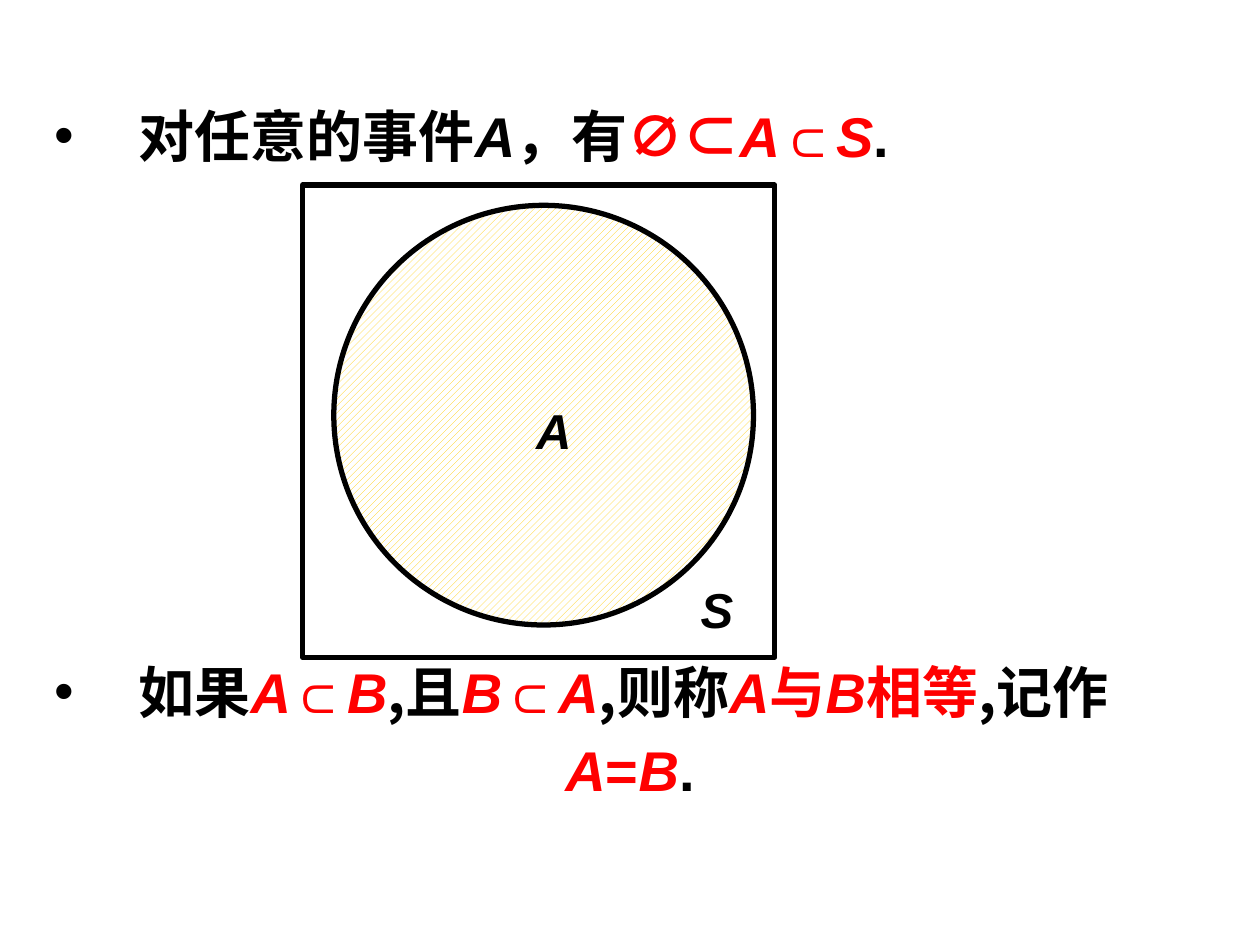
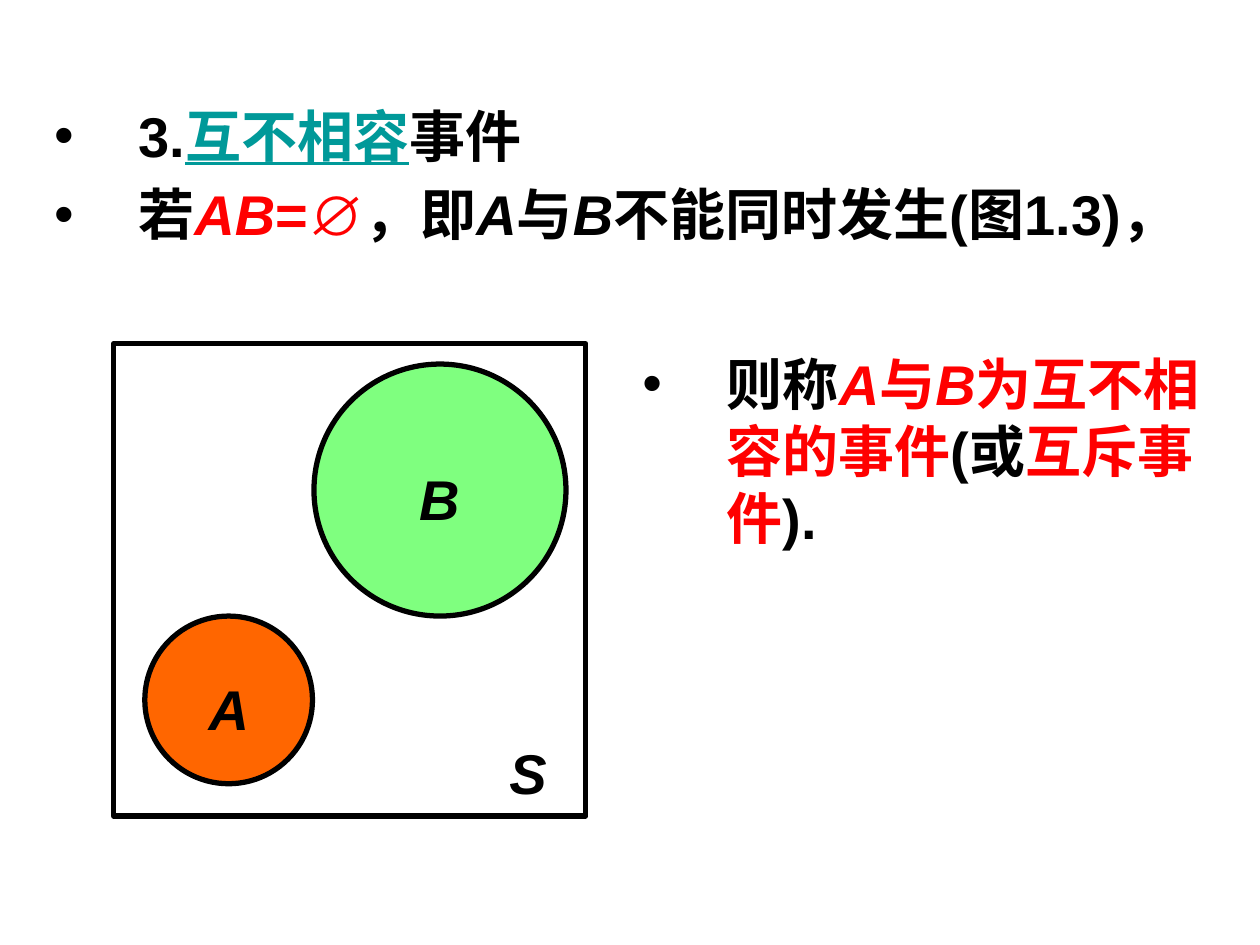
from lxml import etree
from pptx import Presentation
from pptx import util as u
from pptx.dml import color
from pptx.enum import dml, shapes, text
from pptx.oxml import ns

COLORS = {"ink": "000000", "paper": "FFFFFF", "key": "FF0000", "term": "009999",
          "hatch": "FFCC00", "orange": "FF6600", "green": "00FF00"}
FONT, COMMA_FONT = "Arial", "Noto Sans CJK SC"
BODY_SIZE = 32
LINE_HEIGHT = 38.3
SPACE_BEFORE = 6.4
HANGING = u.Cm(1.7)
BODY_LEFT, BODY_TOP, BODY_WIDTH = 0.84, 1.93, 23.72
SPACE_SIDE = 9.52

# Wording: each paragraph is a list of (words, style); styles are
# "" plain, "i" italic, "k" key red, "ki" key italic, "t" term, "c" comma
ANY_EVENT = [[("对任意的事件", ""), ("A", "i"), ("，有", ""), ("∅⊂", "k"),
              ("A", "ki"), ("⊂", "k"), ("S", "ki"), (".", "")]]
EQUAL_EVENTS = [
    [("如果", ""), ("A", "ki"), ("⊂", "k"), ("B", "ki"), (",", "c"), ("且", ""),
     ("B", "ki"), ("⊂", "k"), ("A", "ki"), (",", "c"), ("则称", ""), ("A", "ki"),
     ("与", "k"), ("B", "ki"), ("相等", "k"), (",", "c"), ("记作", "")],
    [("A", "ki"), ("=", "k"), ("B", "ki"), (".", "")]]
EXCLUSIVE_EVENTS = [
    [("3.", ""), ("互不相容", "t"), ("事件", "")],
    [("若", ""), ("AB", "ki"), ("=∅", "k"), ("，即", ""), ("A", "i"), ("与", ""),
     ("B", "i"), ("不能同时发生(图1.3)，", "")]]
EXCLUSIVE_NAME = [[("则称", ""), ("A", "ki"), ("与", "k"), ("B", "ki"),
                   ("为互不相容的事件", "k"), ("(或", ""), ("互斥事件", "k"), (").", "")]]


def rgb(name):
    return color.RGBColor.from_string(COLORS[name])


def format_run(run, size, style=""):
    font = run.font
    font.name = COMMA_FONT if "c" in style else FONT
    font.size = u.Pt(size)
    font.bold = True
    font.italic = "i" in style
    font.underline = "t" in style
    font.color.rgb = rgb("key" if "k" in style else "term" if "t" in style else "ink")
    east_asian = etree.SubElement(run._r.get_or_add_rPr(), ns.qn("a:ea"))
    east_asian.set("typeface", font.name)


def add_statement(slide, left, top, width, height, paragraphs, centered=()):
    """Bulleted sentences; paragraphs listed in centered get no bullet."""
    frame = slide.shapes.add_textbox(u.Cm(left), u.Cm(top), u.Cm(width), u.Cm(height)).text_frame
    frame.word_wrap = True
    for index, parts in enumerate(paragraphs):
        sentence = frame.add_paragraph() if index else frame.paragraphs[0]
        sentence.line_spacing = u.Pt(LINE_HEIGHT)
        sentence.space_before = u.Pt(SPACE_BEFORE)
        props = sentence._p.get_or_add_pPr()
        props.set("marL", str(HANGING))
        props.set("indent", str(-HANGING))
        if index in centered:
            sentence.alignment = text.PP_ALIGN.CENTER
        else:
            etree.SubElement(props, ns.qn("a:buFont")).set("typeface", FONT)
            etree.SubElement(props, ns.qn("a:buChar")).set("char", "•")
        for words, style in parts:
            run = sentence.add_run()
            run.text = words
            format_run(run, BODY_SIZE, style)


def add_region(group, kind, left, top, side, fill):
    region = group.shapes.add_shape(kind, u.Cm(left), u.Cm(top), u.Cm(side), u.Cm(side))
    region.shadow.inherit = False
    region.line.color.rgb = rgb("ink")
    region.line.width = u.Pt(3)
    if fill == "hatch":
        region.fill.patterned()
        region.fill.pattern = dml.MSO_PATTERN.WIDE_UPWARD_DIAGONAL
        region.fill.fore_color.rgb = rgb("hatch")
        region.fill.back_color.rgb = rgb("paper")
    else:
        region.fill.solid()
        region.fill.fore_color.rgb = rgb(fill)
    return region


def add_letter(group, letter, left, top, width, size):
    height = 1.44 if size == 28 else 1.6
    frame = group.shapes.add_textbox(u.Cm(left), u.Cm(top), u.Cm(width), u.Cm(height)).text_frame
    frame.word_wrap = True
    frame.auto_size = text.MSO_AUTO_SIZE.SHAPE_TO_FIT_TEXT
    frame.text = letter
    frame.paragraphs[0].alignment = text.PP_ALIGN.CENTER
    format_run(frame.paragraphs[0].runs[0], size, "i")


def make_transparent(region, percent):
    fill_color = region._element.spPr.find(ns.qn("a:solidFill"))[0]
    etree.SubElement(fill_color, ns.qn("a:alpha")).set("val", str(percent * 1000))


def add_venn(slide, left, top, size, events):
    """Sample space S with event circles, placed relative to its corner."""
    venn = slide.shapes.add_group_shape()
    add_region(venn, shapes.MSO_SHAPE.RECTANGLE, left, top, SPACE_SIDE, "paper")
    add_letter(venn, "S", left + 7.62, top + 7.83, 1.47, size)
    for letter, fill, (x, y, side), (letter_x, letter_y, letter_width) in events:
        circle = add_region(venn, shapes.MSO_SHAPE.OVAL, left + x, top + y, side, fill)
        if fill == "green":
            make_transparent(circle, 50)
        add_letter(venn, letter, left + letter_x, top + letter_y, letter_width, size)


def main():
    deck = Presentation()
    deck.slide_width, deck.slide_height = u.Cm(25.4), u.Cm(19.05)
    blank = deck.slide_layouts[6]

    # Inclusion and equality of events
    inclusion = deck.slides.add_slide(blank)
    add_statement(inclusion, BODY_LEFT, BODY_TOP, BODY_WIDTH, 1.8, ANY_EVENT)
    add_venn(inclusion, 6.1, 3.73, 28,
             [("A", "hatch", (0.63, 0.41, 8.46), (4.01, 4.22, 2.11))])
    add_statement(inclusion, BODY_LEFT, 13.13, BODY_WIDTH, 3.18, EQUAL_EVENTS, centered=(1,))

    # Mutually exclusive events
    exclusive = deck.slides.add_slide(blank)
    add_statement(exclusive, BODY_LEFT, BODY_TOP, BODY_WIDTH, 4.6, EXCLUSIVE_EVENTS)
    add_venn(exclusive, 2.29, 6.93, BODY_SIZE,
             [("A", "orange", (0.63, 5.49, 3.38), (1.27, 6.55, 2.11)),
              ("B", "green", (4.04, 0.41, 5.08), (5.72, 2.31, 1.7))])
    add_statement(exclusive, 12.7, 6.93, 11.86, 9.37, EXCLUSIVE_NAME)

    deck.save("out.pptx")


if __name__ == "__main__":
    main()
